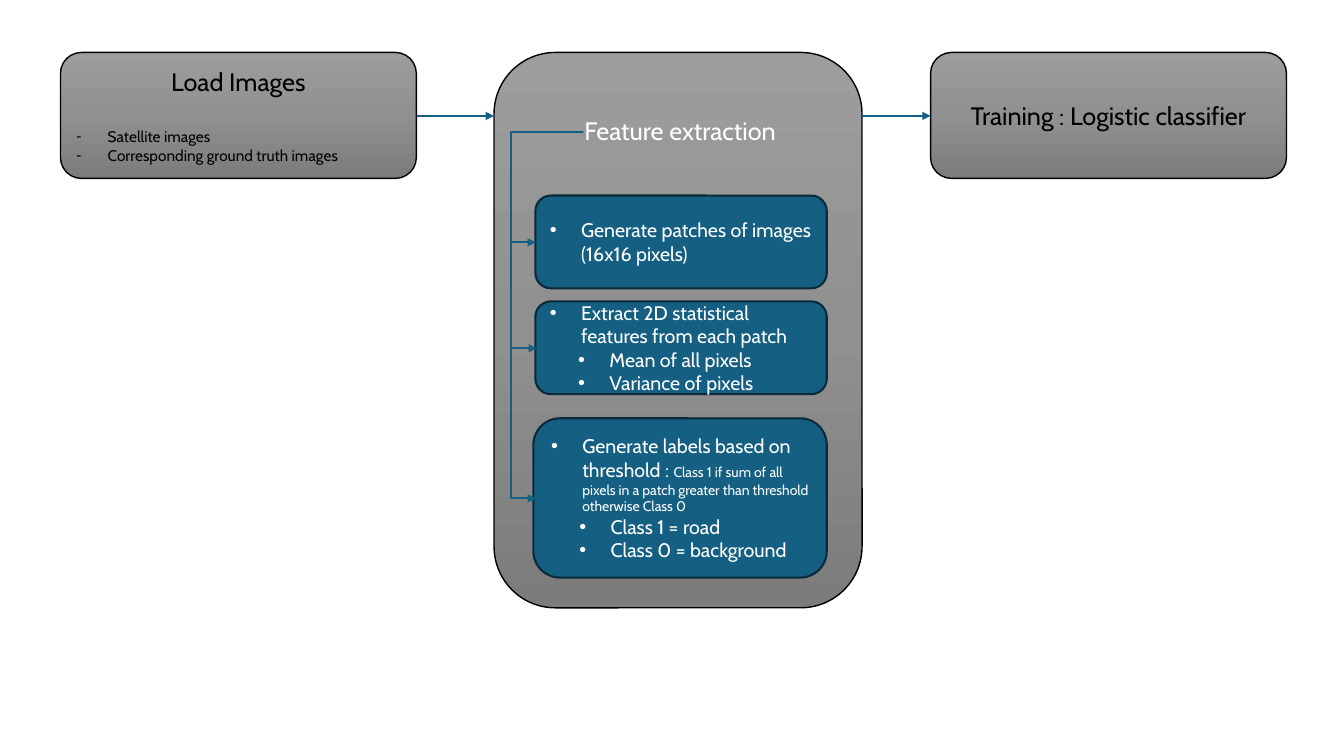
from copy import deepcopy
from dataclasses import dataclass

from lxml import etree
from pptx import Presentation
from pptx.dml.color import RGBColor
from pptx.enum.shapes import MSO_CONNECTOR, MSO_SHAPE
from pptx.enum.text import MSO_ANCHOR, PP_ALIGN
from pptx.oxml.ns import qn
from pptx.util import Pt

ROUNDED = MSO_SHAPE.ROUNDED_RECTANGLE
STRAIGHT, ELBOW = MSO_CONNECTOR.STRAIGHT, MSO_CONNECTOR.ELBOW
LEFT, CENTER = PP_ALIGN.LEFT, PP_ALIGN.CENTER
MIDDLE = MSO_ANCHOR.MIDDLE

PX = 9144  # 100 px to the inch
FONT = "Cabin"
COLORS = {"black": "000000", "white": "FFFFFF", "blue": "156082", "navy": "092A39"}
GRAY_STOPS = ((0, "9D9D9D"), (0.5, "909090"), (1, "7C7C7C"))
HANGING = 31
INDENTS = (31, 59)


@dataclass(frozen=True)
class Line:
    text: str
    size: int = 14
    color: str = "white"
    bullet: str = ""
    level: int = 0
    after: int = 0
    note: str = ""


@dataclass(frozen=True)
class Box:
    left: int
    top: int
    width: int
    height: int
    style: str  # "gray", "blue" or "clear"
    lines: tuple[Line, ...] = ()


@dataclass(frozen=True)
class Arrow:
    left: int
    top: int
    width: int
    height: int = 0
    preset: str = ""
    rotation: int = 0
    flip: bool = False
    adjustments: tuple[int, ...] = ()


def bullet(text: str, level: int = 0, note: str = "") -> Line:
    return Line(text, bullet="•", level=level, note=note)


def dash(text: str) -> Line:
    return Line(text, 11, "black", "-")


BOXES = (
    Box(60, 52, 353, 125, "gray", (
        Line("Load Images", 18, "black", after=22),
        dash("Satellite images"),
        dash("Corresponding ground truth images"),
    )),
    Box(490, 52, 365, 551, "gray"),
    Box(923, 52, 353, 125, "gray", (Line("Training : Logistic classifier", 18, "black"),)),
    Box(529, 82, 291, 95, "clear", (Line("Feature extraction", 18),)),
    Box(531, 194, 289, 92, "blue", (bullet("Generate patches of images (16x16 pixels)"),)),
    Box(531, 299, 289, 92, "blue", (
        bullet("Extract 2D statistical features from each patch"),
        bullet("Mean of all pixels", 1),
        bullet("Variance of pixels", 1),
    )),
    Box(529, 415, 291, 158, "blue", (
        bullet("Generate labels based on threshold : ",
               note="Class 1 if sum of all pixels in a patch greater than threshold otherwise Class 0"),
        bullet("Class 1 = road", 1),
        bullet("Class 0 = background", 1),
    )),
)
# Elbow frames are given before rotation.
ARROWS = (
    Arrow(414, 115, 76),
    Arrow(855, 115, 68),
    Arrow(500, 162, 110, 47, "bentConnector4", 90, adjustments=(500, 153000)),
    Arrow(437, 250, 165, 26, "bentConnector2", 270, True),
    Arrow(441, 404, 156, 25, "bentConnector2", 270, True),
)


def rgb(name: str) -> RGBColor:
    return RGBColor.from_string(COLORS[name])


def add_span(para, text: str, *, size: int, color: str) -> None:
    span = para.add_run()
    span.text = text
    span.font.name = FONT
    span.font.size = Pt(size)
    span.font.color.rgb = rgb(color)


def set_bullet(para, mark: str, level: int) -> None:
    properties = para._p.get_or_add_pPr()
    properties.set("marL", str(INDENTS[level] * PX))
    properties.set("indent", str(-HANGING * PX))
    etree.SubElement(properties, qn("a:buFont")).set("typeface", "Arial")
    etree.SubElement(properties, qn("a:buChar")).set("char", mark)


def write_lines(shape, lines: tuple[Line, ...]) -> None:
    frame = shape.text_frame
    frame.word_wrap = True
    frame.vertical_anchor = MIDDLE
    for index, line in enumerate(lines):
        para = frame.add_paragraph() if index else frame.paragraphs[0]
        para.alignment = LEFT if line.bullet else CENTER
        if line.after:
            para.space_after = Pt(line.after)
        if line.bullet:
            set_bullet(para, line.bullet, line.level)
        add_span(para, line.text, size=line.size, color=line.color)
        if line.note:
            add_span(para, line.note, size=10, color=line.color)


def fill_gray(shape) -> None:
    """Fill with the three-stop gradient, running downwards."""
    shape.fill.gradient()
    shape.fill.gradient_angle = 270
    stop_list = shape._element.spPr.find(qn("a:gradFill")).find(qn("a:gsLst"))
    stop_list.append(deepcopy(stop_list[0]))
    for stop, (position, color) in zip(shape.fill.gradient_stops, GRAY_STOPS):
        stop.position = position
        stop.color.rgb = RGBColor.from_string(color)


def draw_box(page, box: Box) -> None:
    shape = page.shapes.add_shape(
        ROUNDED, *(PX * n for n in (box.left, box.top, box.width, box.height)))
    shape.shadow.inherit = False
    if box.style == "clear":
        shape.fill.background()
        shape.line.fill.background()
    elif box.style == "gray":
        fill_gray(shape)
        shape.line.color.rgb = rgb("black")
        shape.line.width = Pt(1)
    else:
        shape.fill.solid()
        shape.fill.fore_color.rgb = rgb("blue")
        shape.line.color.rgb = rgb("navy")
        shape.line.width = Pt(1.5)
    write_lines(shape, box.lines)


def draw_arrow(page, arrow: Arrow) -> None:
    ends = (arrow.left, arrow.top, arrow.left + arrow.width, arrow.top + arrow.height)
    connector = page.shapes.add_connector(
        ELBOW if arrow.preset else STRAIGHT, *(PX * n for n in ends))
    connector.line.color.rgb = rgb("blue")
    connector.line.width = Pt(1.5)
    properties = connector._element.spPr
    outline = properties.get_or_add_ln()
    etree.SubElement(outline, qn("a:tailEnd")).set("type", "triangle")
    etree.SubElement(properties, qn("a:effectLst"))
    if not arrow.preset:
        return
    transform = properties.find(qn("a:xfrm"))
    transform.set("rot", str(arrow.rotation * 60000))
    if arrow.flip:
        transform.set("flipH", "1")
    geometry = properties.find(qn("a:prstGeom"))
    geometry.set("prst", arrow.preset)
    guides = geometry.find(qn("a:avLst"))
    for number, value in enumerate(arrow.adjustments, 1):
        guide = etree.SubElement(guides, qn("a:gd"))
        guide.set("name", f"adj{number}")
        guide.set("fmla", f"val {value}")


def main() -> None:
    deck = Presentation()
    deck.slide_width, deck.slide_height = 1333 * PX, 750 * PX
    page = deck.slides.add_slide(deck.slide_layouts[6])
    for box in BOXES:
        draw_box(page, box)
    for arrow in ARROWS:
        draw_arrow(page, arrow)
    deck.save("out.pptx")


if __name__ == "__main__":
    main()
